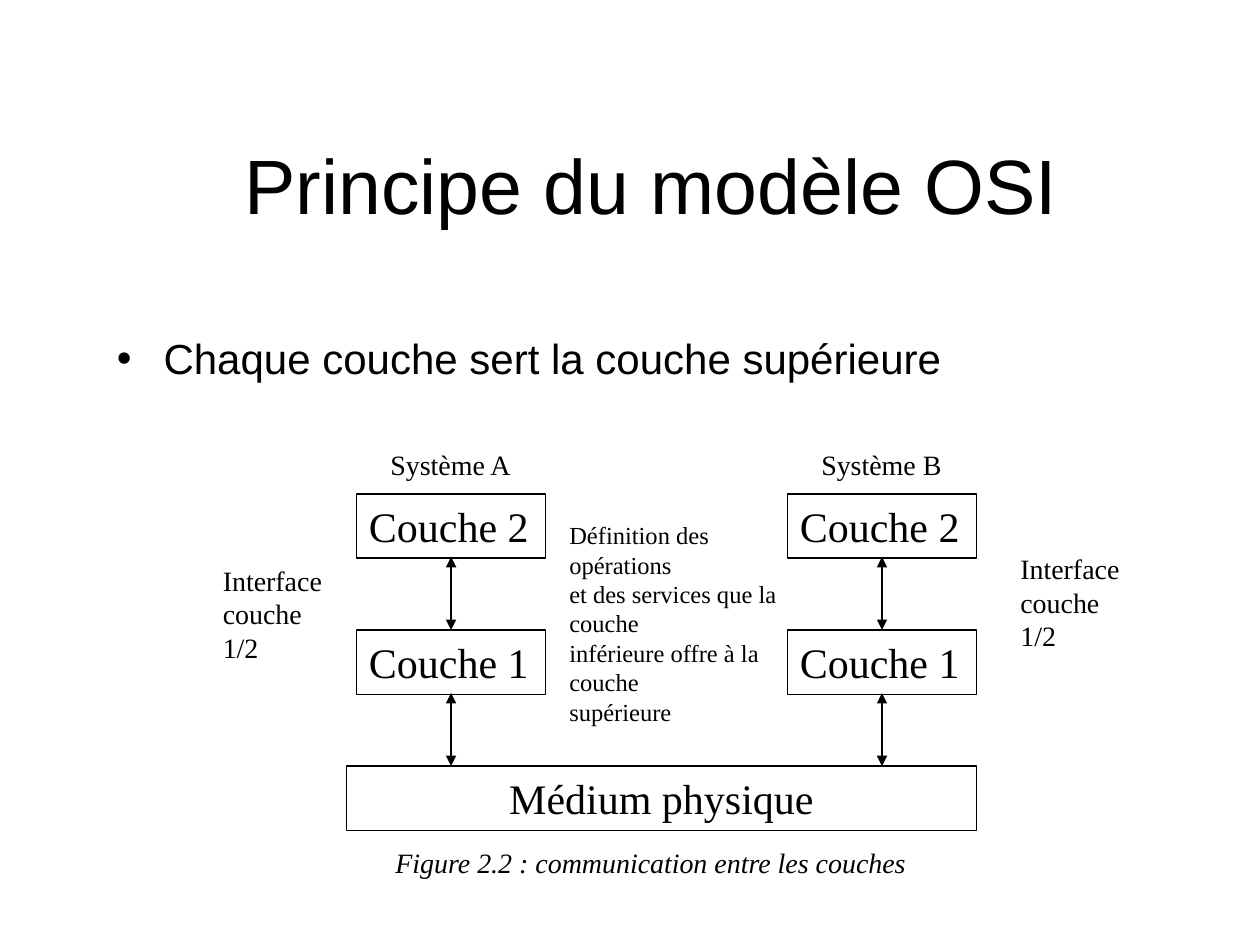
from lxml.etree import SubElement as Sub
from pptx import Presentation
from pptx.dml.color import RGBColor
from pptx.enum.shapes import MSO_CONNECTOR as Link, MSO_SHAPE as Form
from pptx.enum.text import MSO_ANCHOR as Anchor, PP_ALIGN as Align
from pptx.oxml.ns import qn
from pptx.util import Inches, Pt

INK = "000000"
SERIF = "Times New Roman"


def color(code):
    return RGBColor.from_string(code)


def style(item, look):
    for name, value in look.items():
        setattr(item, name, value)


def write(frame, lines, size, face=SERIF, wrap=True, anchor=Anchor.TOP,
          align=Align.LEFT, italic=False):
    style(frame, {"word_wrap": wrap, "vertical_anchor": anchor})
    for num, line in enumerate(lines):
        para = frame.add_paragraph() if num else frame.paragraphs[0]
        para.alignment = align
        run = para.add_run()
        run.text = line
        style(run.font, {"size": Pt(size), "name": face, "italic": italic})
        run.font.color.rgb = color(INK)
    return frame


def label(slide, box, lines, size, **look):
    area = slide.shapes.add_textbox(*map(Inches, box))
    return write(area.text_frame, lines, size, **look)


def block(slide, box, text, align=Align.LEFT):
    shape = slide.shapes.add_shape(Form.RECTANGLE, *map(Inches, box))
    shape.shadow.inherit = False
    shape.fill.background()
    shape.line.color.rgb = color(INK)
    shape.line.width = Pt(0.75)
    write(shape.text_frame, [text], 24, align=align)


def arrow(slide, x, top, end):
    line = slide.shapes.add_connector(
        Link.STRAIGHT, *map(Inches, (x, top, x, end)))
    line.line.color.rgb = color(INK)
    line.line.width = Pt(0.75)
    for tag in ("a:headEnd", "a:tailEnd"):
        Sub(line.line._get_or_add_ln(), qn(tag), type="triangle")
    Sub(line._element.spPr, qn("a:effectLst"))


def title(slide, box):
    label(slide, box, ["Principe du modèle OSI"], 44, face="Arial",
          anchor=Anchor.MIDDLE, align=Align.CENTER)


def point(slide, box):
    frame = label(slide, box, ["Chaque couche sert la couche supérieure"],
                  24, face="Arial")
    para = frame.paragraphs[0]
    style(para, {"line_spacing": 0.8, "space_before": Pt(6)})
    props = para._p.get_or_add_pPr()
    props.set("marL", str(Inches(0.37)))
    props.set("indent", str(Inches(-0.37)))
    Sub(props, qn("a:buFont"), typeface="Arial")
    Sub(props, qn("a:buChar"), char="•")


def stack(slide, box, name):
    left, top, wide, tall = box
    high, step = 0.51, 1.08
    mid = left + wide / 2
    label(slide, (left + 0.17, top, 1.16, 0.37), [name], 16, wrap=False)
    first = top + tall - 2 * step
    for num, text in enumerate(("Couche 2", "Couche 1")):
        y = first + num * step
        block(slide, (left, y, wide, high), text)
        arrow(slide, mid, y + 0.5, y + step)


def figure(slide, box):
    left, top, wide, tall = box
    base = top + tall - 0.51
    block(slide, (left, base, wide, 0.51), "Médium physique", Align.CENTER)
    for x, name in ((left + 0.08, "Système A"), (left + 3.5, "Système B")):
        stack(slide, (x, top, 1.5, base - top), name)
    for x, y in ((left - 1.08, 4.42), (left + 5.25, 4.33)):
        label(slide, (x, y, 1.16, 0.64), ["Interface", "couche 1/2"], 16,
              wrap=False)
    label(slide, (left + 1.67, top + 0.58, 2.1, 1.74),
          ["Définition des opérations", "et des services que la couche",
           "inférieure offre à la couche", "supérieure"], 14)
    label(slide, (left + 0.29, top + tall + 0.07, 4.27, 0.37),
          ["Figure 2.2 : communication entre les couches"], 16,
          wrap=False, italic=True)


def main():
    deck = Presentation()
    style(deck, {"slide_width": Inches(10), "slide_height": Inches(7.5)})
    slide = deck.slides.add_slide(deck.slide_layouts[6])
    title(slide, (0.92, 0.83, 8.5, 1.25))
    point(slide, (0.83, 2.67, 8.03, 0.71))
    figure(slide, (2.75, 3.5, 5, 3.09))
    deck.save("out.pptx")


if __name__ == "__main__":
    main()
